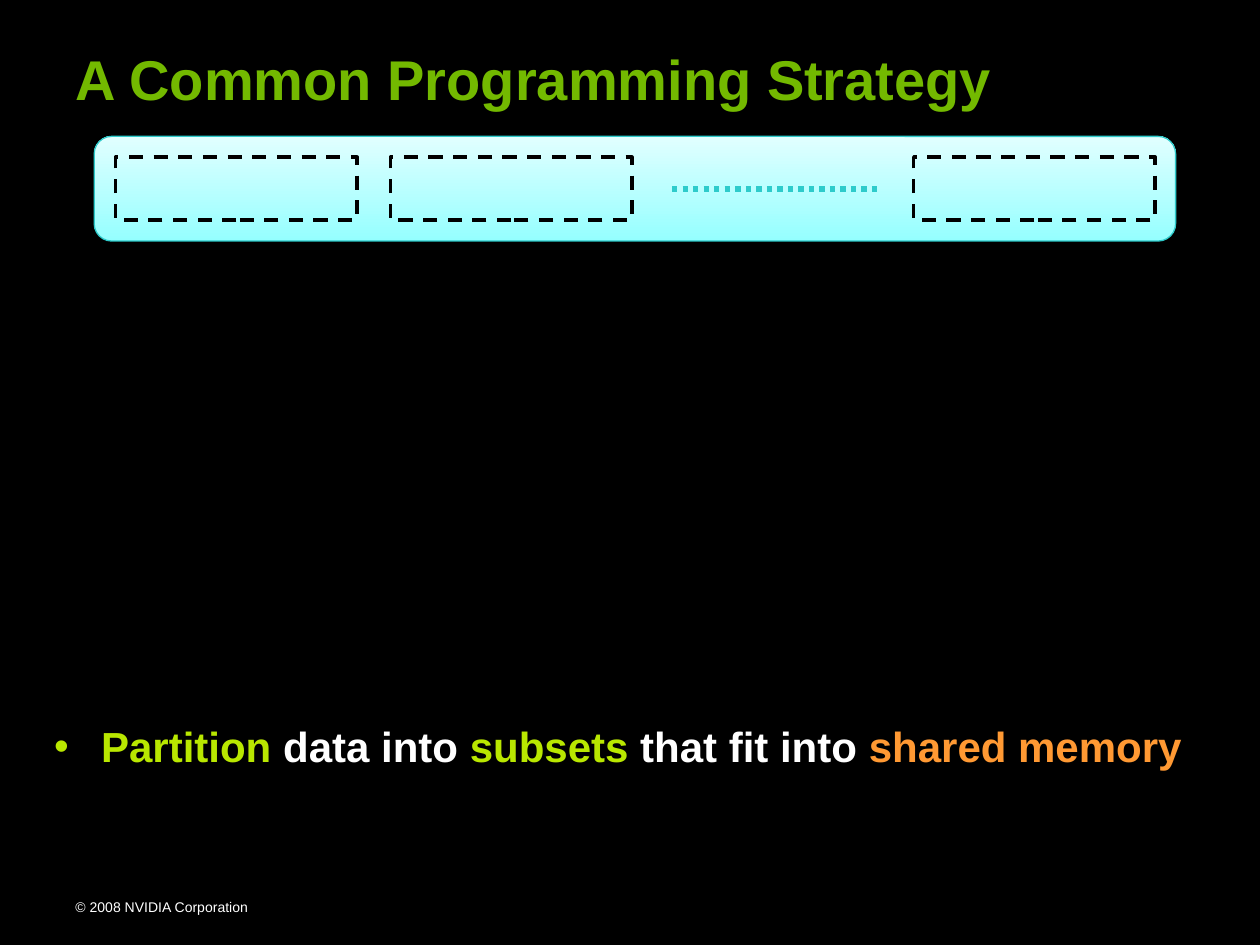
import pptx
import pptx.dml.color
import pptx.enum.dml
import pptx.enum.shapes
import pptx.enum.text
import pptx.oxml.ns
import pptx.util
from lxml import etree
from pptx.util import Cm, Pt

RGBColor = pptx.dml.color.RGBColor
BLACK = RGBColor(0x00, 0x00, 0x00)
WHITE = RGBColor(0xFF, 0xFF, 0xFF)
TITLE_GREEN = RGBColor(0x73, 0xB9, 0x00)
LIME = RGBColor(0xB9, 0xE7, 0x00)
ORANGE = RGBColor(0xFF, 0x99, 0x33)
TEAL = RGBColor(0x2E, 0xCB, 0xCB)
AQUA = RGBColor(0x95, 0xFF, 0xFF)
PALE_AQUA = RGBColor(0xE1, 0xFF, 0xFF)

FONT = "Arial"
SUBSET_LEFTS = (2.33, 7.87, 18.42)


def set_font(paragraph, size, bold=False, color=None):
    paragraph.font.name = FONT
    paragraph.font.size = Pt(size)
    paragraph.font.bold = bold
    if color is not None:
        paragraph.font.color.rgb = color


def add_bullet(paragraph, color, indent):
    properties = paragraph._p.get_or_add_pPr()
    properties.set("marL", str(indent))
    properties.set("indent", str(-indent))
    qn = pptx.oxml.ns.qn
    bullet_color = etree.SubElement(properties, qn("a:buClr"))
    etree.SubElement(bullet_color, qn("a:srgbClr"), val=str(color))
    etree.SubElement(properties, qn("a:buFont"), typeface=FONT)
    etree.SubElement(properties, qn("a:buChar"), char="•")


def add_title(slide, text):
    title = slide.shapes.title
    title.left, title.top, title.width, title.height = Cm(1.27), Cm(0.76), Cm(20.52), Cm(1.6)
    frame = title.text_frame
    frame.text = text
    frame.auto_size = pptx.enum.text.MSO_AUTO_SIZE.NONE
    frame.vertical_anchor = pptx.enum.text.MSO_ANCHOR.TOP
    frame.paragraphs[0].alignment = pptx.enum.text.PP_ALIGN.LEFT
    set_font(frame.paragraphs[0], 32, True, TITLE_GREEN)


def add_text_paragraph(slide, left, top, width, height):
    """Add a wrapping text box and return its first paragraph."""
    frame = slide.shapes.add_textbox(left, top, width, height).text_frame
    frame.word_wrap = True
    return frame.paragraphs[0]


def add_strategy_step(slide, parts):
    step = add_text_paragraph(slide, Cm(0.84), Cm(14.4), Cm(23.5), Cm(4.01))
    add_bullet(step, LIME, Cm(0.95))
    set_font(step, 24, True)
    for text, color in parts:
        run = step.add_run()
        run.text = text
        run.font.color.rgb = color


def add_data_bar(slide):
    bar = slide.shapes.add_shape(
        pptx.enum.shapes.MSO_SHAPE.ROUNDED_RECTANGLE, Cm(1.9), Cm(2.75), Cm(21.8), Cm(2.11))
    bar.shadow.inherit = False
    bar.fill.gradient()
    bar.fill.gradient_angle = 90
    for stop, color in zip(bar.fill.gradient_stops, (AQUA, PALE_AQUA)):
        stop.color.rgb = color
    bar.line.color.rgb = TEAL
    bar.line.width = Pt(0.75)


def style_line(line, color, width, dash):
    line.color.rgb = color
    line.width = Pt(width)
    line.dash_style = dash


def add_subset(group, left):
    subset = group.shapes.add_shape(
        pptx.enum.shapes.MSO_SHAPE.RECTANGLE, left, Cm(3.17), Cm(4.87), Cm(1.27))
    subset.shadow.inherit = False
    subset.fill.background()
    style_line(subset.line, BLACK, 2, pptx.enum.dml.MSO_LINE.DASH)


def add_ellipsis_line(group):
    dots = group.shapes.add_connector(
        pptx.enum.shapes.MSO_CONNECTOR.STRAIGHT, Cm(13.55), Cm(3.81), Cm(17.78), Cm(3.81))
    style_line(dots.line, TEAL, 3, pptx.enum.dml.MSO_LINE.ROUND_DOT)
    etree.SubElement(dots._element.spPr, pptx.oxml.ns.qn("a:effectLst"))


def add_copyright(slide, text):
    notice = add_text_paragraph(slide, Cm(1.27), Cm(17.98), Cm(5.72), Cm(0.61))
    notice.text = text
    set_font(notice, 8, color=WHITE)


def main():
    presentation = pptx.Presentation()
    presentation.slide_width, presentation.slide_height = Cm(25.4), Cm(19.05)
    slide = presentation.slides.add_slide(presentation.slide_layouts[5])
    slide.background.fill.solid()
    slide.background.fill.fore_color.rgb = BLACK

    add_copyright(slide, "© 2008 NVIDIA Corporation")
    add_data_bar(slide)
    add_title(slide, "A Common Programming Strategy")
    add_strategy_step(slide, [
        ("Partition", LIME),
        (" data into ", WHITE),
        ("subsets", LIME),
        (" that fit into ", WHITE),
        ("shared memory", ORANGE),
    ])
    subsets = slide.shapes.add_group_shape()
    for left in SUBSET_LEFTS:
        add_subset(subsets, Cm(left))
    add_ellipsis_line(subsets)

    presentation.save("out.pptx")


if __name__ == "__main__":
    main()
